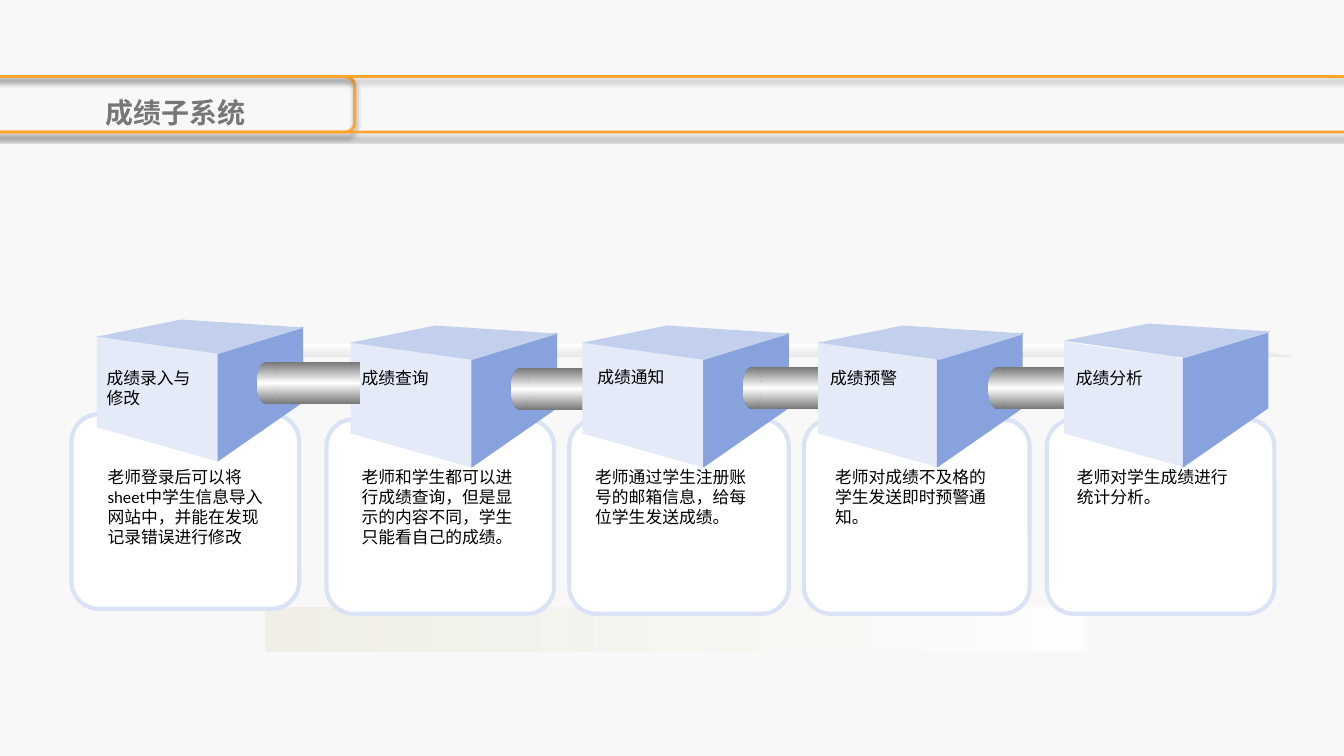
"""Build the slide that presents the five steps of the grade subsystem."""
from dataclasses import dataclass
from typing import Any, Optional

import lxml.etree
import pptx
import pptx.dml.color
import pptx.enum.shapes
import pptx.enum.text
import pptx.oxml.ns
import pptx.util

RGB = pptx.dml.color.RGBColor
SHAPE = pptx.enum.shapes.MSO_SHAPE
ANCHOR = pptx.enum.text.MSO_ANCHOR
qn = pptx.oxml.ns.qn

EMU_PER_PX = 9144
EAST_ASIAN_FONT = "Noto Sans CJK SC"

PAGE_GREY = RGB(0xF8, 0xF8, 0xF8)
ORANGE = RGB(0xFF, 0xA5, 0x2D)
TITLE_GREY = RGB(0x77, 0x77, 0x77)
BLACK = RGB(0, 0, 0)
WHITE = RGB(0xFF, 0xFF, 0xFF)
SHELF_GREY = RGB(0xE8, 0xE8, 0xE8)
TUBE_GREY = RGB(0x76, 0x76, 0x76)
BEIGE = RGB(0xEE, 0xEC, 0xE1)
CARD_EDGE = RGB(0xDA, 0xE2, 0xF6)
CUBE_FRONT = RGB(0xE4, 0xEA, 0xF8)
CUBE_SIDE = RGB(0x87, 0xA2, 0xDD)
CUBE_LID = RGB(0xC2, 0xD0, 0xEE)

TITLE_FORMAT = {"size": pptx.util.Pt(20), "bold": True, "name": EAST_ASIAN_FONT}
BODY_FORMAT = {"size": pptx.util.Pt(12), "name": "Calibri"}

Point = tuple[int, int]
Stop = tuple[int, RGB, int]
TUBE_STOPS: list[Stop] = [(0, TUBE_GREY, 100), (50, WHITE, 100), (100, TUBE_GREY, 100)]
SHELF_STOPS: list[Stop] = [(0, WHITE, 100), (100, SHELF_GREY, 100)]
FLOOR_STOPS: list[Stop] = [(0, BEIGE, 69), (100, WHITE, 100)]
SHELF_POINTS: list[Point] = [(1282, 354), (1222, 341), (276, 341), (215, 354)]


@dataclass(frozen=True)
class Box:
    """A rectangle in px."""

    left: int
    top: int
    width: int
    height: int

    def emu(self) -> list[int]:
        """Return the four lengths in EMU."""
        return [n * EMU_PER_PX for n in (self.left, self.top, self.width, self.height)]


@dataclass(frozen=True)
class Step:
    """A cube with its label, its card with a note, and its tube to the next cube."""

    label: str
    note: str
    card: Box
    cube: Point
    label_box: Box
    note_box: Box
    tube: Optional[Point] = None
    side: int = 120
    lid: int = 0


STEPS = [
    Step("成绩录入与修改", "老师登录后可以将sheet中学生信息导入网站中，并能在发现记录错误进行修改",
         Box(71, 411, 226, 193), (96, 333), Box(96, 360, 119, 50),
         Box(97, 458, 184, 91), (255, 359)),
    Step("成绩查询", "老师和学生都可以进行成绩查询，但是显示的内容不同，学生只能看自己的成绩。",
         Box(324, 416, 226, 193), (348, 339), Box(349, 360, 119, 30),
         Box(349, 458, 184, 91), (507, 365)),
    Step("成绩通知", "老师通过学生注册账号的邮箱信息，给每位学生发送成绩。",
         Box(565, 416, 218, 193), (578, 339), Box(583, 359, 119, 30),
         Box(581, 458, 184, 71), (737, 364)),
    Step("成绩预警", "老师对成绩不及格的学生发送即时预警通知。",
         Box(798, 416, 224, 193), (812, 339), Box(814, 360, 119, 30),
         Box(819, 458, 184, 71), (981, 364), side=118),
    Step("成绩分析", "老师对学生成绩进行统计分析。",
         Box(1039, 416, 226, 193), (1056, 339), Box(1058, 360, 119, 30),
         Box(1059, 458, 184, 50), side=118, lid=-2),
]


def set_gradient(shape: Any, stops: list[Stop], angle: int) -> None:
    """Fill a shape with gradient stops of position, colour and opacity."""
    shape.fill.gradient()
    shape.fill.gradient_angle = angle
    stop_list = shape.element.spPr.find(".//" + qn("a:gsLst"))
    for old in list(stop_list):
        stop_list.remove(old)
    for position, colour, opacity in stops:
        stop = lxml.etree.SubElement(stop_list, qn("a:gs"), pos=str(position * 1000))
        tone = lxml.etree.SubElement(stop, qn("a:srgbClr"), val=str(colour))
        if opacity < 100:
            lxml.etree.SubElement(tone, qn("a:alpha"), val=str(opacity * 1000))


def add_plain_shape(page: Any, kind: Any, box: Box, line: Optional[RGB] = None,
                    width: int = 0) -> Any:
    """Add an unfilled preset shape without shadow, outlined when a colour is given."""
    shape = page.shapes.add_shape(kind, *box.emu())
    shape.shadow.inherit = False
    shape.fill.background()
    if line is None:
        shape.line.fill.background()
    else:
        shape.line.color.rgb = line
        shape.line.width = pptx.util.Pt(width)
    return shape


def add_outline(page: Any, points: list[Point]) -> Any:
    """Add a closed polygon without line or shadow."""
    builder = page.shapes.build_freeform(*points[0], scale=float(EMU_PER_PX))
    builder.add_line_segments(points[1:], close=True)
    shape = builder.convert_to_shape()
    shape.shadow.inherit = False
    shape.line.fill.background()
    return shape


def write_text(frame: Any, text: str, formats: dict[str, Any], colour: RGB) -> Any:
    """Write one formatted paragraph into a text frame and return it."""
    frame.word_wrap = True
    para = frame.paragraphs[0]
    span = para.add_run()
    span.text = text
    span.font.color.rgb = colour
    for name, value in formats.items():
        setattr(span.font, name, value)
    lxml.etree.SubElement(span.font._element, qn("a:ea"), typeface=EAST_ASIAN_FONT)
    return para


def add_band(page: Any, box: Box) -> None:
    """Add an orange rounded band with a soft shadow below it."""
    band = add_plain_shape(page, SHAPE.FLOWCHART_ALTERNATE_PROCESS, box, ORANGE, 2)
    effects = band.element.spPr.find(qn("a:effectLst"))
    shadow = lxml.etree.SubElement(
        effects, qn("a:outerShdw"), blurRad=str(pptx.util.Pt(4)),
        dist=str(pptx.util.Pt(3)), dir="5400000", algn="t", rotWithShape="0")
    tone = lxml.etree.SubElement(shadow, qn("a:srgbClr"), val=str(BLACK))
    lxml.etree.SubElement(tone, qn("a:alpha"), val="40000")


def add_title(page: Any) -> None:
    """Place the title in the left end of the orange band."""
    title = page.shapes.title
    title.left, title.top, title.width, title.height = Box(21, 76, 306, 60).emu()
    title.text_frame.auto_size = pptx.enum.text.MSO_AUTO_SIZE.NONE
    title.text_frame.vertical_anchor = ANCHOR.MIDDLE
    para = write_text(title.text_frame, "成绩子系统", TITLE_FORMAT, TITLE_GREY)
    para.alignment = pptx.enum.text.PP_ALIGN.CENTER
    para.line_spacing = 1.3


def add_card(page: Any, step: Step) -> None:
    """Add the white rounded card of a step."""
    card = add_plain_shape(page, SHAPE.ROUNDED_RECTANGLE, step.card, CARD_EDGE, 3)
    card.adjustments[0] = 0.14
    card.fill.solid()
    card.fill.fore_color.rgb = WHITE


def add_cube(page: Any, step: Step) -> None:
    """Add the front, side and lid of a cube, and the tube that leaves it."""
    x, y = step.cube
    side, lid = step.side, step.lid
    faces = [
        (CUBE_FRONT, [(0, 0), (0, 91), (121, 125), (121, 17)]),
        (CUBE_SIDE, [(side, 125), (side, 16), (side + 85, -9), (side + 85, 66)]),
        (CUBE_LID, [(0, 1 + lid), (84, lid - 16), (206, lid - 8), (121, 18 + lid)]),
    ]
    for colour, corners in faces:
        face = add_outline(page, [(x + dx, y + dy) for dx, dy in corners])
        face.fill.solid()
        face.fill.fore_color.rgb = colour
    if step.tube:
        left, top = step.tube
        for kind, box in ((SHAPE.RECTANGLE, Box(left + 10, top, 92, 42)),
                          (SHAPE.OVAL, Box(left, top, 19, 42))):
            set_gradient(add_plain_shape(page, kind, box), TUBE_STOPS, 270)


def main() -> None:
    """Build and save the deck."""
    deck = pptx.Presentation()
    deck.slide_width, deck.slide_height = 1334 * EMU_PER_PX, 750 * EMU_PER_PX
    page = deck.slides.add_slide(deck.slide_layouts[5])
    page.background.fill.solid()
    page.background.fill.fore_color.rgb = PAGE_GREY

    add_title(page)
    for box in (Box(-26, 76, 378, 55), Box(-18, 76, 1394, 55)):
        add_band(page, box)
    floor = add_plain_shape(page, SHAPE.RECTANGLE, Box(264, 603, 814, 43))
    set_gradient(floor, FLOOR_STOPS, 0)
    for step in STEPS:
        add_card(page, step)
    set_gradient(add_outline(page, SHELF_POINTS), SHELF_STOPS, 270)
    for step in STEPS[1:] + STEPS[:1]:
        add_cube(page, step)
    for step in STEPS:
        for text, box in ((step.label, step.label_box), (step.note, step.note_box)):
            frame = page.shapes.add_textbox(*box.emu()).text_frame
            write_text(frame, text, BODY_FORMAT, BLACK)
    deck.save("out.pptx")


if __name__ == "__main__":
    main()
